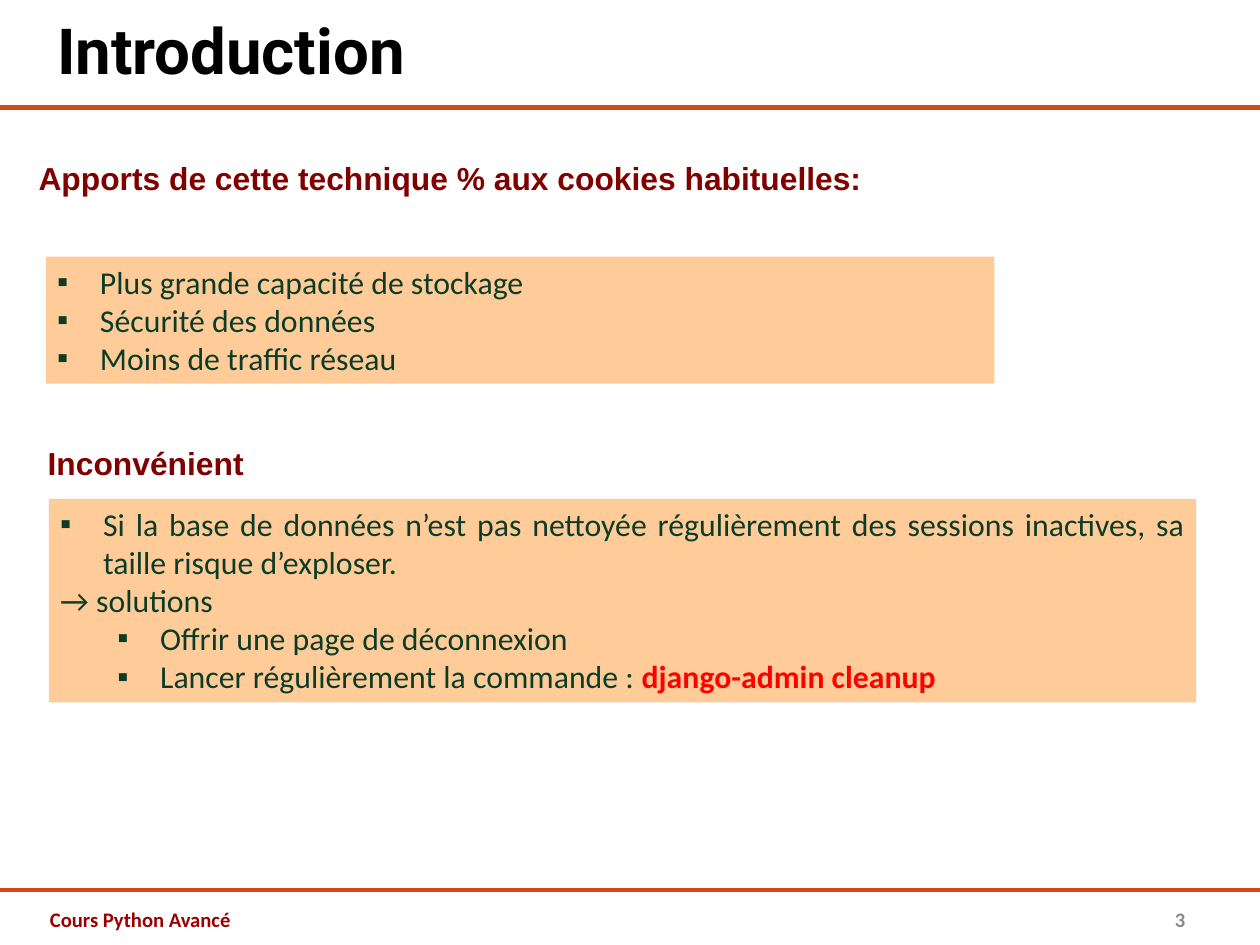
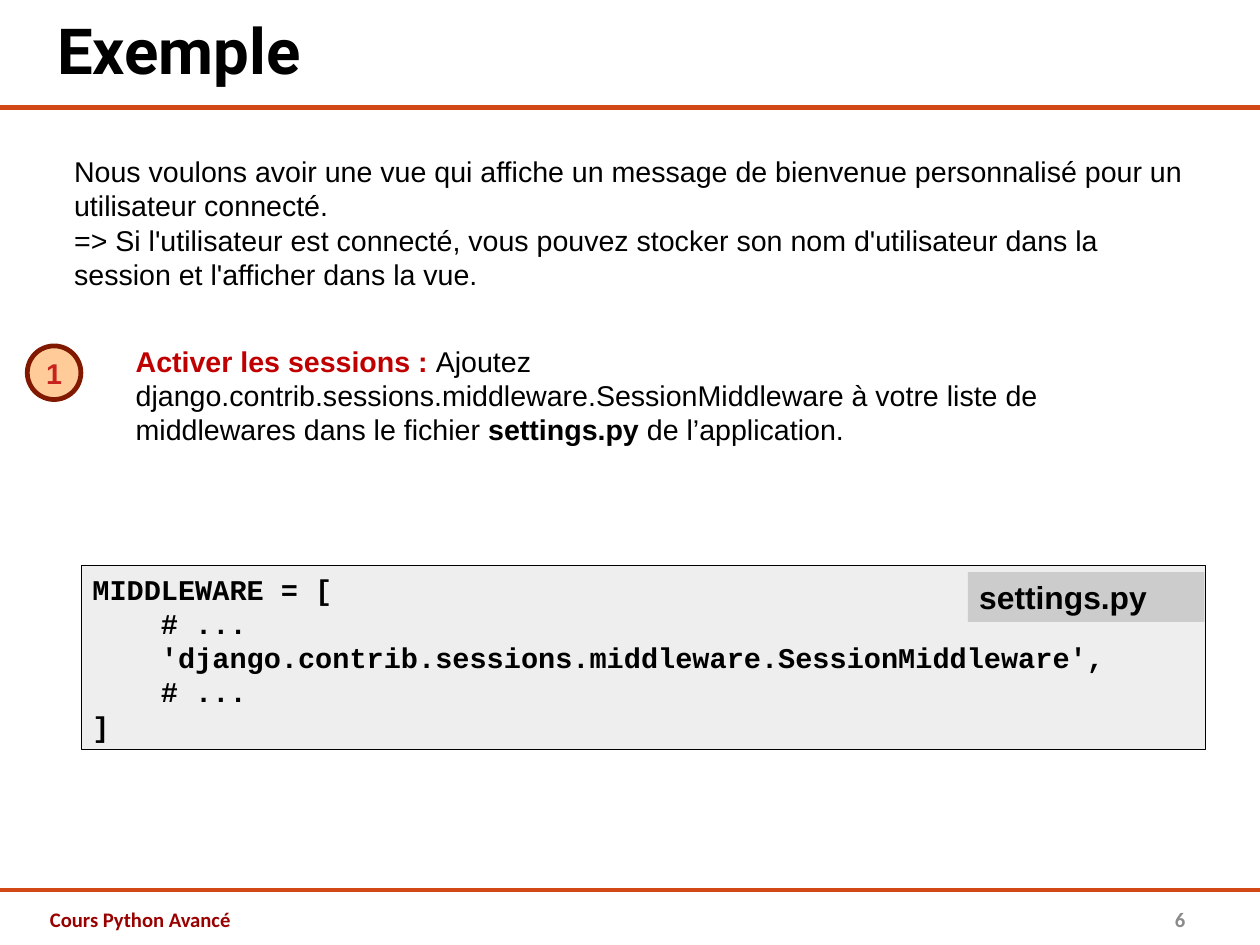
import dataclasses

import pptx
import pptx.dml.color
import pptx.enum.shapes
import pptx.enum.text
import pptx.oxml
import pptx.oxml.ns
import pptx.util

Pt = pptx.util.Pt
SHAPE = pptx.enum.shapes.MSO_SHAPE
ALIGN = pptx.enum.text.PP_ALIGN
ANCHOR = pptx.enum.text.MSO_ANCHOR
FIT = pptx.enum.text.MSO_AUTO_SIZE


@dataclasses.dataclass(frozen=True)
class TextStyle:
    font: str
    size: float
    color: str
    bold: bool = False


class Theme:
    # Colours
    rule = "D34817"
    panel = "FFCC99"
    badge_line = "801900"
    code_fill = "EEEEEE"
    code_line = "000000"
    tag_fill = "CCCCCC"
    # Type
    bullet_font = "Arial"
    title = TextStyle("Roboto", 40, "000000", True)
    footer = TextStyle("Calibri", 13, "990000", True)
    number = TextStyle("Calibri", 13, "8B8B8B", True)
    heading = TextStyle("Arial", 20, "800000", True)
    item = TextStyle("Calibri", 20, "0C3C26")
    command = TextStyle("Calibri", 20, "FF0000", True)
    body = TextStyle("Arial", 18, "000000")
    strong = TextStyle("Arial", 18, "000000", True)
    accent = TextStyle("Arial", 18, "C00000", True)
    badge = TextStyle("Arial", 18, "C9211E", True)
    code = TextStyle("Courier New", 18, "000000", True)
    tag = TextStyle("Arial", 20, "000000", True)


@dataclasses.dataclass
class Para:
    spans: list
    bullet_level: int | None = None


def rgb(color):
    return pptx.dml.color.RGBColor.from_string(color)


class Deck:
    width, height = 793.75, 595.25
    rules = (67.5, 560.6)
    footer_top, footer_height = 564.9, 28.1
    bullet_indent, level_indent = 27, 36

    def __init__(self):
        self.deck = pptx.Presentation()
        self.deck.slide_width = Pt(self.width)
        self.deck.slide_height = Pt(self.height)
        self.page = None

    # Page frame: title, two rules, footer
    def new_page(self, title, number):
        self.page = self.deck.slides.add_slide(self.deck.slide_layouts[6])
        self.text(29, -0.7, 687.6, 62.6, title, Theme.title,
                  anchor=ANCHOR.BOTTOM, insets=(7.2, 3.6, 7.2, 7.2), grow=False)
        for y in self.rules:
            self.rule(y)
        footers = ((24.4, 251.3, "Cours Python Avancé", Theme.footer, ALIGN.LEFT),
                   (568.8, 185, str(number), Theme.number, ALIGN.RIGHT))
        for left, width, words, style, align in footers:
            self.text(left, self.footer_top, width, self.footer_height, words, style,
                      align=align, anchor=ANCHOR.MIDDLE, grow=False)

    def rule(self, y):
        line = self.page.shapes.add_connector(
            pptx.enum.shapes.MSO_CONNECTOR.STRAIGHT, Pt(0), Pt(y), Pt(self.width), Pt(y))
        line.line.color.rgb = rgb(Theme.rule)
        line.line.width = Pt(3)
        properties = line._element.spPr
        properties.append(properties.makeelement(pptx.oxml.ns.qn("a:effectLst"), {}))

    # Text: a string, or a list of strings and Para objects
    def fill_text(self, box, content, style, align=ALIGN.LEFT, anchor=ANCHOR.TOP,
                  insets=(7.2, 3.6, 7.2, 3.6), wrap=True, grow=True):
        frame = box.text_frame
        frame.word_wrap = wrap
        frame.auto_size = FIT.SHAPE_TO_FIT_TEXT if grow else FIT.NONE
        frame.vertical_anchor = anchor
        (frame.margin_left, frame.margin_top,
         frame.margin_right, frame.margin_bottom) = map(Pt, insets)
        entries = [content] if isinstance(content, str) else content
        for index, entry in enumerate(entries):
            para = frame.add_paragraph() if index else frame.paragraphs[0]
            para.alignment = align
            if isinstance(entry, str):
                entry = Para([(entry, style)])
            if entry.bullet_level is not None:
                self.bullet(para, entry.bullet_level)
            for words, span_style in entry.spans:
                self.span(para, words, span_style)

    def span(self, para, words, style):
        span = para.add_run()
        span.text = words
        span.font.name = style.font
        span.font.size = Pt(style.size)
        span.font.bold = style.bold
        span.font.color.rgb = rgb(style.color)

    def bullet(self, para, level):
        para.level = level
        properties = para._p.get_or_add_pPr()
        margin = self.bullet_indent + level * self.level_indent
        properties.set("marL", str(Pt(margin)))
        properties.set("indent", str(-Pt(self.bullet_indent)))
        for tag, attributes in (("a:buFont", {"typeface": Theme.bullet_font}),
                                ("a:buChar", {"char": "▪"})):
            properties.append(properties.makeelement(pptx.oxml.ns.qn(tag), attributes))

    def text(self, left, top, width, height, content, style, **options):
        box = self.page.shapes.add_textbox(Pt(left), Pt(top), Pt(width), Pt(height))
        self.fill_text(box, content, style, **options)

    def shape(self, kind, left, top, width, height, fill, content, style,
              line=None, weight=0.0, **options):
        box = self.page.shapes.add_shape(kind, Pt(left), Pt(top), Pt(width), Pt(height))
        box.shadow.inherit = False
        box.fill.solid()
        box.fill.fore_color.rgb = rgb(fill)
        if line:
            box.line.color.rgb = rgb(line)
            box.line.width = Pt(weight)
        else:
            box.line.fill.background()
        self.fill_text(box, content, style, **options)

    # Elements of the course pages
    def heading(self, left, top, words):
        self.text(left, top, 609.8, 31.7, words, Theme.heading)

    def panel(self, left, top, width, height, content):
        self.shape(SHAPE.RECTANGLE, left, top, width, height, Theme.panel,
                   content, Theme.item, align=ALIGN.JUSTIFY)

    def badge(self, left, top, words):
        self.shape(SHAPE.OVAL, left, top, 33.8, 33.8, Theme.panel, words, Theme.badge,
                   line=Theme.badge_line, weight=3, align=ALIGN.CENTER,
                   anchor=ANCHOR.MIDDLE, insets=(8.6, 5, 8.6, 5), wrap=False, grow=False)

    def code(self, left, top, width, height, lines, file_name):
        self.shape(SHAPE.RECTANGLE, left, top, width, height, Theme.code_fill,
                   lines, Theme.code, line=Theme.code_line)
        tag_width = 149
        self.shape(SHAPE.RECTANGLE, left + width - tag_width - 0.7, top + 4, tag_width, 31.3,
                   Theme.tag_fill, file_name, Theme.tag)


def item(words, level=0):
    return Para([(words, Theme.item)], level)


def introduction(course):
    course.new_page("Introduction", 3)
    course.heading(17.2, 96.4, "Apports de cette technique % aux cookies habituelles:")
    course.panel(28.9, 161.7, 597.6, 79.9, [
        item("Plus grande capacité de stockage"),
        item("Sécurité des données"),
        item("Moins de traffic réseau"),
    ])
    course.heading(23, 276.2, "Inconvénient")
    course.panel(30.8, 314.3, 722.7, 128.2, [
        item("Si la base de données n’est pas nettoyée régulièrement des sessions "
             "inactives, sa taille risque d’exploser."),
        "→ solutions",
        item("Offrir une page de déconnexion", 1),
        Para([("Lancer régulièrement la commande : ", Theme.item),
              ("django-admin cleanup", Theme.command)], 1),
    ])


def example(course):
    course.new_page("Exemple", 6)
    course.badge(17.2, 217.9, "1")
    course.text(39.6, 93.4, 714.2, 94.3, [
        "Nous voulons avoir une vue qui affiche un message de bienvenue personnalisé "
        "pour un utilisateur connecté.",
        "=> Si l'utilisateur est connecté, vous pouvez stocker son nom d'utilisateur "
        "dans la session et l'afficher dans la vue.",
    ], Theme.body)
    course.text(78.4, 212.9, 664.6, 72.7, [Para([
        ("Activer les sessions : ", Theme.accent),
        ("Ajoutez django.contrib.sessions.middleware.SessionMiddleware à votre liste "
         "de middlewares dans le fichier ", Theme.body),
        ("settings.py ", Theme.strong),
        ("de l’application.", Theme.body),
    ])], Theme.body)
    course.code(51.1, 356.4, 708.4, 115.9, [
        "MIDDLEWARE = [",
        "    # ...",
        "    'django.contrib.sessions.middleware.SessionMiddleware',",
        "    # ...",
        "]",
    ], "settings.py")


def main():
    course = Deck()
    introduction(course)
    example(course)
    course.deck.save("out.pptx")


if __name__ == "__main__":
    main()
